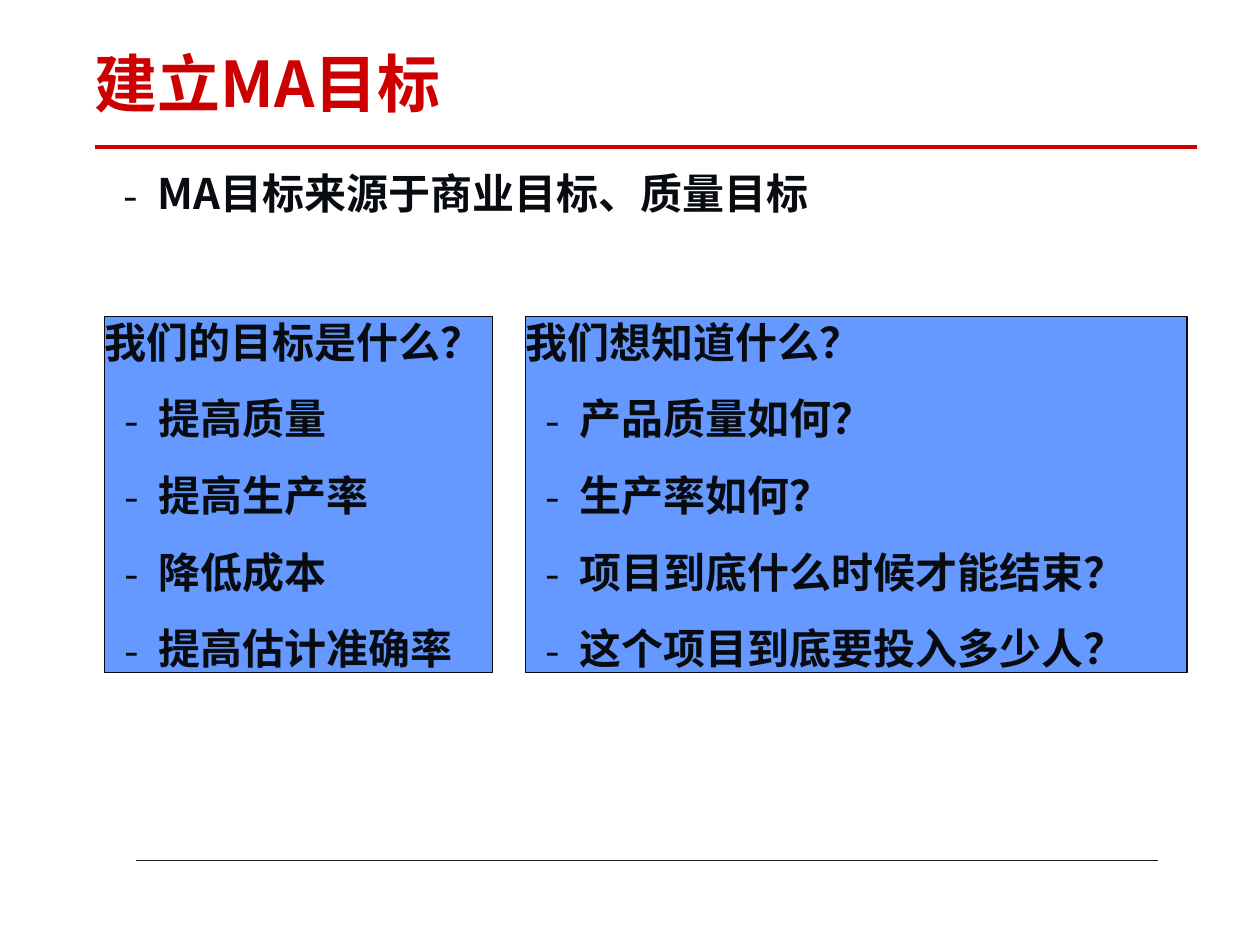
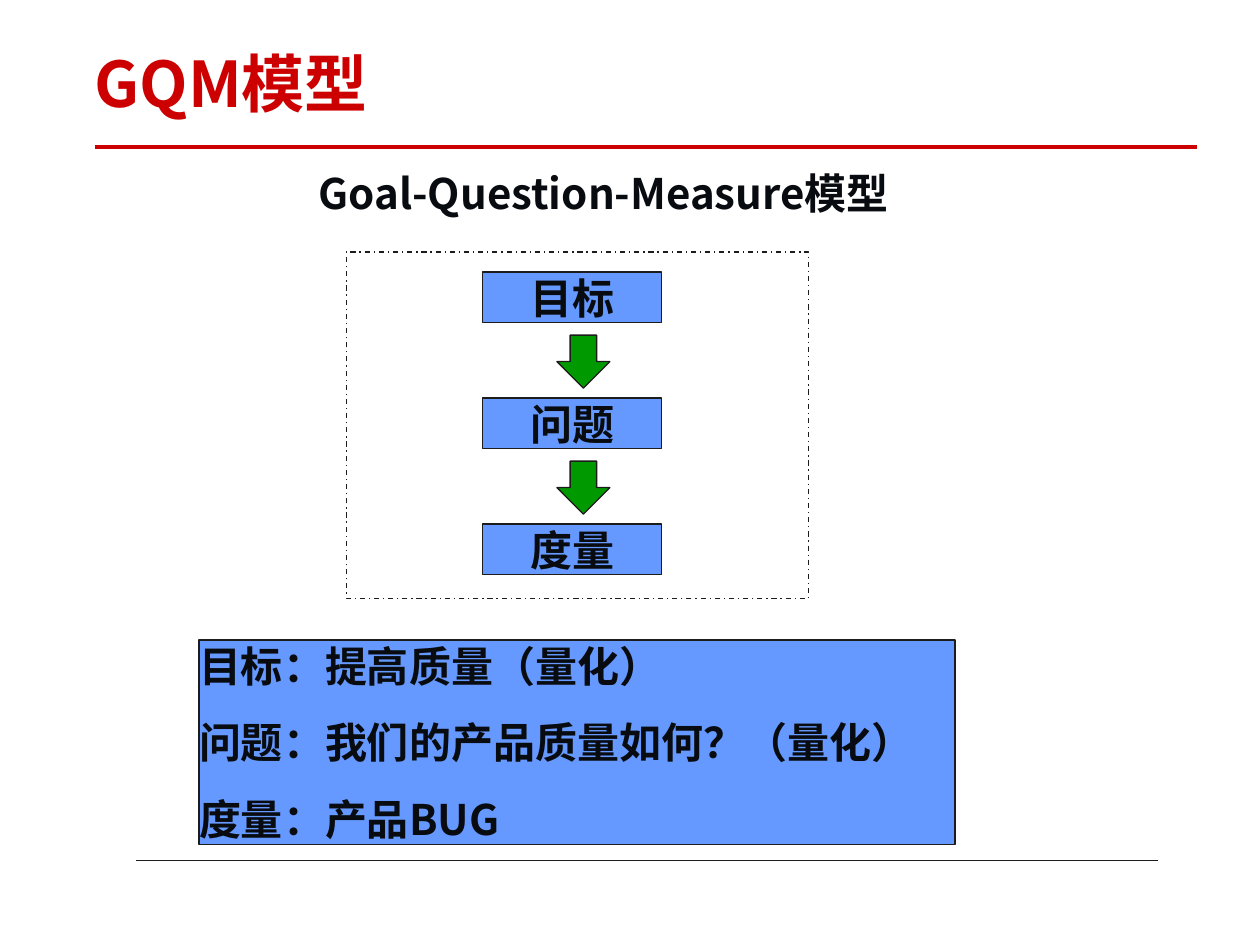
import pptx
import pptx.dml.color
import pptx.enum.dml
import pptx.enum.shapes
import pptx.enum.text
import pptx.oxml.ns
import pptx.util
from lxml import etree

Inches = pptx.util.Inches
Pt = pptx.util.Pt
PRESET = pptx.enum.shapes.MSO_SHAPE
ALIGN = pptx.enum.text.PP_ALIGN
TOP = pptx.enum.text.MSO_ANCHOR.TOP

FONT = "Noto Sans CJK SC"
RED, INK, LINE = "CC0000", "080C10", "1C1C1C"
BLUE, GREEN = "6699FF", "009900"
TITLE_BOX = (0.75, 0.42, 8.75, 0.61)
LINE_HEIGHT = 1.2  # in multiples of the text size
DASH_WIDTH = 0.27


def rgb(value):
    return pptx.dml.color.RGBColor.from_string(value)


def add_xml(parent, tag, **attributes):
    return etree.SubElement(parent, pptx.oxml.ns.qn(tag), **attributes)


def place(shape, box):
    shape.left, shape.top, shape.width, shape.height = map(Inches, box)


def prepare_frame(frame):
    frame.margin_left = frame.margin_right = 0
    frame.margin_top = frame.margin_bottom = 0
    frame.word_wrap = True
    frame.auto_size = pptx.enum.text.MSO_AUTO_SIZE.NONE
    frame.vertical_anchor = TOP


def set_dash(paragraph, indent):
    """Give the paragraph a dash bullet, or none when indent is None."""
    properties = paragraph._p.get_or_add_pPr()
    hang = 0 if indent is None else DASH_WIDTH
    properties.set("marL", str(Inches((indent or 0) + hang)))
    properties.set("indent", str(-Inches(hang)))
    if indent is None:
        add_xml(properties, "a:buNone")
    else:
        add_xml(properties, "a:buFont", typeface=FONT)
        add_xml(properties, "a:buChar", char="-")


def write_line(paragraph, text, size=24, color=INK, align=ALIGN.LEFT,
               before=15, indent=None, spacing=LINE_HEIGHT):
    paragraph.alignment = align
    paragraph.space_before = Pt(before)
    paragraph.line_spacing = Pt(size * spacing)
    set_dash(paragraph, indent)
    run = paragraph.add_run()
    run.text = text
    run.font.name = FONT
    run.font.size = Pt(size)
    run.font.bold = True
    run.font.color.rgb = rgb(color)
    add_xml(run._r.get_or_add_rPr(), "a:ea", typeface=FONT)


def add_rule(slide, left, right, y, color, width):
    rule = slide.shapes.add_connector(
        pptx.enum.shapes.MSO_CONNECTOR.STRAIGHT,
        Inches(left), Inches(y), Inches(right), Inches(y))
    rule.line.color.rgb = rgb(color)
    rule.line.width = Pt(width)
    add_xml(rule._element.spPr, "a:effectLst")


def add_block(slide, preset, box, fill=None, line=LINE):
    block = slide.shapes.add_shape(preset, *map(Inches, box))
    block.shadow.inherit = False
    if fill:
        block.fill.solid()
        block.fill.fore_color.rgb = rgb(fill)
    else:
        block.fill.background()
    block.line.color.rgb = rgb(line)
    block.line.width = Pt(0.75)
    return block


def add_panel(slide, box, lines, dashes=(), line=LINE, align=ALIGN.LEFT):
    """Blue box with plain lines followed by dashed ones."""
    frame = add_block(slide, PRESET.RECTANGLE, box, BLUE, line).text_frame
    prepare_frame(frame)
    entries = [(text, None) for text in lines] + [(text, 0.16) for text in dashes]
    for number, (text, indent) in enumerate(entries):
        paragraph = frame.add_paragraph() if number else frame.paragraphs[0]
        write_line(paragraph, text, align=align, indent=indent,
                   before=15 if number else 0)


def start_slide(deck, title, lead, lead_box, **lead_style):
    """Slide with both rules, the title and its leading line."""
    slide = deck.slides.add_slide(deck.slide_layouts[1])
    add_rule(slide, 1.08, 9.19, 6.83, LINE, 1)
    add_rule(slide, 0.75, 9.5, 1.17, RED, 2.25)
    heading, body = slide.placeholders
    for holder, box in ((heading, TITLE_BOX), (body, lead_box)):
        place(holder, box)
        prepare_frame(holder.text_frame)
    write_line(heading.text_frame.paragraphs[0], title, size=36, color=RED,
               before=0, spacing=LINE_HEIGHT * 0.89)
    write_line(body.text_frame.paragraphs[0], lead, before=0, **lead_style)
    return slide


def add_gqm_chain(slide, box, steps):
    """Dash-dot frame around steps joined by down arrows."""
    left, top = box[:2]
    pitch = 1
    for number, step in enumerate(steps):
        step_top = top + 0.16 + number * pitch
        add_panel(slide, (left + 1.08, step_top, 1.42, 0.4), [step],
                  align=ALIGN.CENTER)
        if number < len(steps) - 1:
            add_block(slide, PRESET.DOWN_ARROW,
                      (left + 1.67, step_top + 0.5, 0.42, 0.42), GREEN)
    border = add_block(slide, PRESET.RECTANGLE, box)
    border.line.dash_style = pptx.enum.dml.MSO_LINE.DASH_DOT


def build_goals(deck):
    slide = start_slide(deck, "建立MA目标", "MA目标来源于商业目标、质量目标",
                        (0.75, 1.33, 8.67, 0.8), indent=0.23)
    add_panel(slide, (0.83, 2.51, 3.08, 2.83), ["我们的目标是什么？"],
              ["提高质量", "提高生产率", "降低成本", "提高估计准确率"], INK)
    add_panel(slide, (4.17, 2.51, 5.25, 2.83), ["我们想知道什么？"],
              ["产品质量如何？", "生产率如何？", "项目到底什么时候才能结束？",
               "这个项目到底要投入多少人？"], INK)


def build_gqm(deck):
    slide = start_slide(deck, "GQM模型", "Goal-Question-Measure模型",
                        (2.08, 1.33, 5.42, 0.4), align=ALIGN.CENTER)
    add_gqm_chain(slide, (2.75, 2, 3.67, 2.75), ["目标", "问题", "度量"])
    add_panel(slide, (1.58, 5.08, 6, 1.62),
              ["目标：提高质量（量化）", "问题：我们的产品质量如何？（量化）",
               "度量：产品BUG"])


def main():
    deck = pptx.Presentation()
    deck.slide_width, deck.slide_height = Inches(10), Inches(7.5)
    build_goals(deck)
    build_gqm(deck)
    deck.save("out.pptx")


if __name__ == "__main__":
    main()
